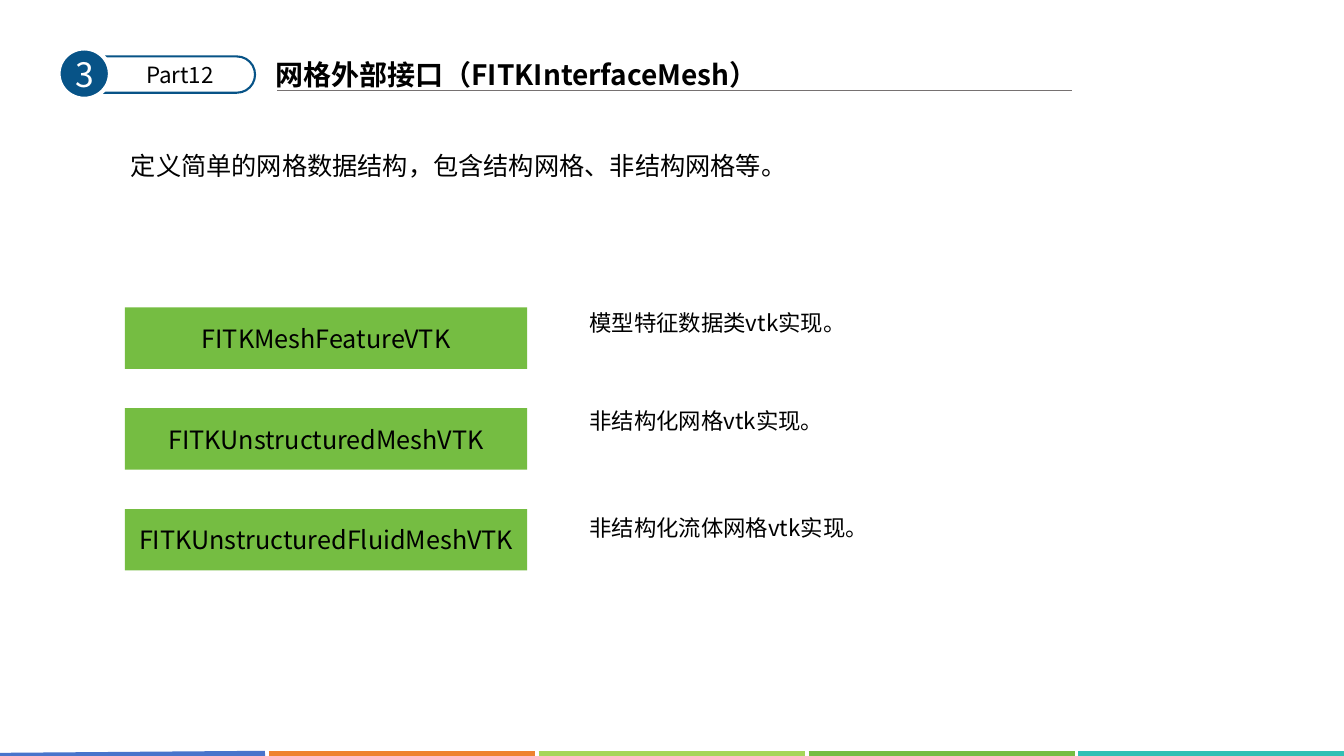
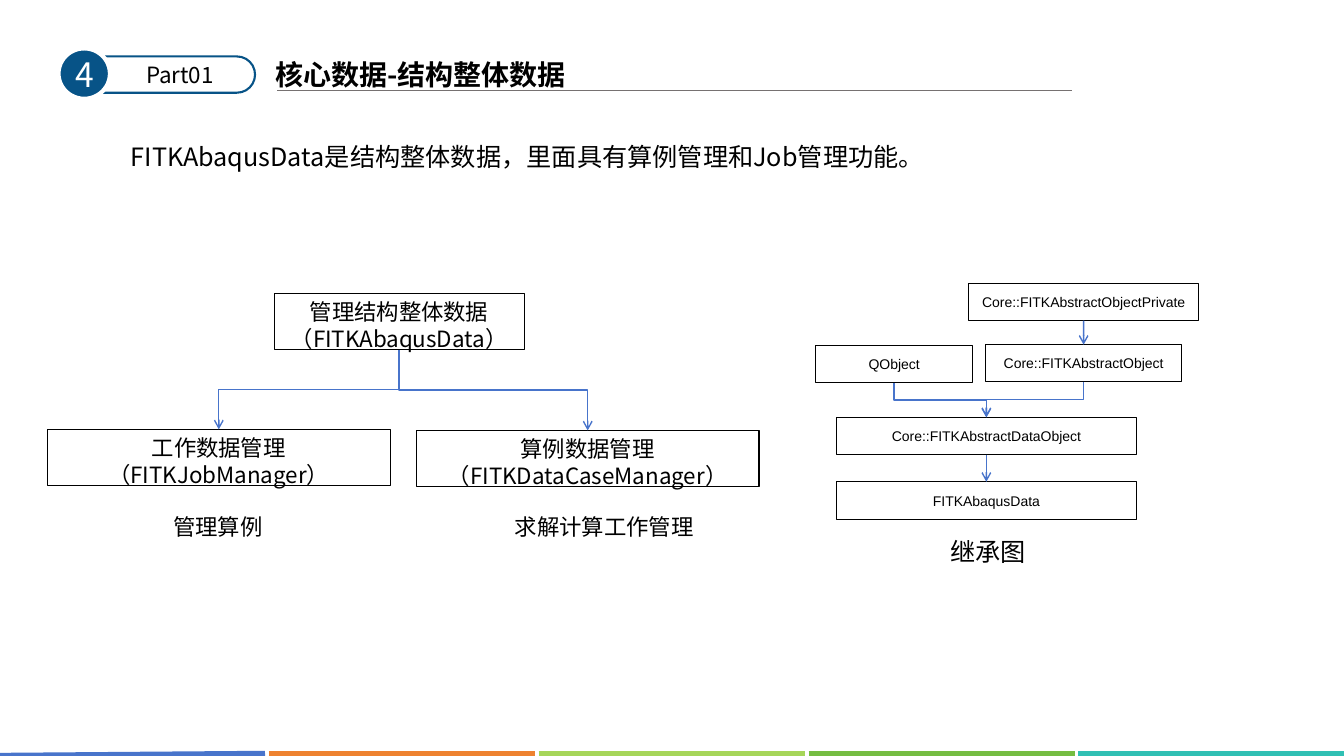
from lxml.etree import SubElement
from pptx import Presentation
from pptx.dml.color import RGBColor
from pptx.enum.shapes import MSO_CONNECTOR as Route, MSO_SHAPE as Outline
from pptx.enum.text import MSO_ANCHOR as Anchor, PP_ALIGN as Align
from pptx.oxml.ns import qn
from pptx.util import Inches, Pt

COLOURS = {
    "black": "000000", "white": "FFFFFF", "navy": "075387", "grey": "767171",
    "blue": "4874CB", "orange": "EE822F", "lime": "A6D659", "green": "75BD42",
    "teal": "30C0B4",
}
CJK = "Noto Sans CJK SC"

deck = Presentation()
deck.slide_width, deck.slide_height = Inches(13.33), Inches(7.5)
column, row = deck.slide_width / 100, deck.slide_height / 100


def put(slide, area, text="", size=16, outline=None, fill=None, border=None, weight=0.75,
        colour="black", face=CJK, bold=None, align=Align.CENTER, anchor=Anchor.TOP, spacing=None):
    left, top, width, height = area
    box = [int(left * column), int(top * row), int(width * column), int(height * row)]
    if outline is None:
        part = slide.shapes.add_textbox(*box)
    else:
        part = slide.shapes.add_shape(outline, *box)
        part.shadow.inherit = False
        if fill:
            part.fill.solid()
            part.fill.fore_color.rgb = RGBColor.from_string(COLOURS[fill])
        else:
            part.fill.background()
        if border:
            part.line.color.rgb = RGBColor.from_string(COLOURS[border])
            part.line.width = Pt(weight)
        else:
            part.line.fill.background()
    frame = part.text_frame
    frame.word_wrap = True
    frame.vertical_anchor = anchor
    frame.text = text
    for paragraph in frame.paragraphs:
        paragraph.alignment = align
        paragraph.line_spacing = spacing
        font = paragraph.font
        font.size, font.bold, font.name = Pt(size), bold, face
        font.color.rgb = RGBColor.from_string(COLOURS[colour])
        SubElement(font._rPr, qn("a:ea")).set("typeface", CJK)
    return part


def draw_line(slide, start, end, colour, weight, route=Route.STRAIGHT):
    line = slide.shapes.add_connector(
        route, int(start[0] * column), int(start[1] * row), int(end[0] * column), int(end[1] * row))
    line.line.color.rgb = RGBColor.from_string(COLOURS[colour])
    line.line.width = Pt(weight)
    SubElement(line._element.spPr, qn("a:effectLst"))
    return line


headings = [
    ("3", "Part12", "网格外部接口（FITKInterfaceMesh）"),
    ("4", "Part01", "核心数据-结构整体数据"),
]
slides = []
for chapter, section, title in headings:
    slide = deck.slides.add_slide(deck.slide_layouts[6])
    slides.append(slide)
    for index, colour in enumerate(["blue", "orange", "lime", "green", "teal"]):
        left = -0.08 + 20.08 * index
        draw_line(slide, (left, 99.73 if index else 100), (left + 19.8, 99.73), colour, 4.5)
    draw_line(slide, (20.63, 12), (79.8, 12), "grey", 1)
    put(slide, (19.73, 6.93, 66.45, 5.87), title, 20, bold=True, align=Align.LEFT)
    pill = put(slide, (4.88, 7.47, 14.1, 4.8), outline=Outline.ROUNDED_RECTANGLE,
               fill="white", border="navy", weight=1.5)
    pill.adjustments[0] = 0.5
    put(slide, (4.35, 6.4, 3.83, 6.67), chapter, 24, Outline.OVAL, "navy", "white", 3,
        "white", anchor=Anchor.MIDDLE)
    put(slide, (6.08, 7.47, 14.63, 4.93), section)

mesh, core = slides

put(mesh, (9, 19.2, 70, 5.33), "定义简单的网格数据结构，包含结构网格、非结构网格等。", 18, align=Align.LEFT)
mesh_classes = [
    ("FITKMeshFeatureVTK", "模型特征数据类vtk实现。", 40.27),
    ("FITKUnstructuredMeshVTK", "非结构化网格vtk实现。", 53.2),
    ("FITKUnstructuredFluidMeshVTK", "非结构化流体网格vtk实现。", 67.33),
]
for index, (class_name, purpose, purpose_top) in enumerate(mesh_classes):
    put(mesh, (9.3, 40.67 + 13.33 * index, 29.93, 8.13), class_name, 18,
        Outline.RECTANGLE, "green", anchor=Anchor.MIDDLE)
    put(mesh, (43.13, purpose_top, 44, 4.93), purpose, align=Align.LEFT)

put(core, (9, 16, 80, 7.33), "FITKAbaqusData是结构整体数据，里面具有算例管理和Job管理功能。", 18,
    align=Align.LEFT, spacing=1.5)

boxes = {}
managers = [
    ("whole", 20.4, 38.8, 18.6, "管理结构整体数据\n（FITKAbaqusData）"),
    ("jobs", 3.53, 56.8, 25.5, "工作数据管理\n（FITKJobManager）"),
    ("cases", 30.98, 56.93, 25.5, "算例数据管理\n（FITKDataCaseManager）"),
]
for key, left, top, width, text in managers:
    boxes[key] = put(core, (left, top, width, 7.47), text, 16, Outline.RECTANGLE, border="black")

ancestry = [
    ("data", 62.25, 55.2, 22.28, "Core::FITKAbstractDataObject"),
    ("object", 73.35, 45.6, 14.55, "Core::FITKAbstractObject"),
    ("qobject", 60.68, 45.73, 11.7, "QObject"),
    ("private", 72.08, 37.47, 17.1, "Core::FITKAbstractObjectPrivate"),
    ("abaqus", 62.25, 63.73, 22.28, "FITKAbaqusData"),
]
for key, left, top, width, text in ancestry:
    boxes[key] = put(core, (left, top, width, 4.93), text, 10, Outline.RECTANGLE,
                     border="black", face="Arial", anchor=Anchor.MIDDLE)

links = [
    ("whole", "cases", Route.ELBOW), ("whole", "jobs", Route.ELBOW),
    ("object", "data", Route.ELBOW), ("qobject", "data", Route.ELBOW),
    ("private", "object", Route.STRAIGHT), ("data", "abaqus", Route.STRAIGHT),
]
for source, target, route in links:
    arrow = draw_line(core, (0, 0), (0, 0), "blue", 1, route)
    arrow.begin_connect(boxes[source], 2)
    arrow.end_connect(boxes[target], 0)
    SubElement(arrow.line._get_or_add_ln(), qn("a:tailEnd")).set("type", "arrow")
    if route == Route.ELBOW:
        across, down = arrow.end_x - arrow.begin_x, arrow.end_y - arrow.begin_y
        middle_x, middle_y = arrow.begin_x + across // 2, arrow.begin_y + down // 2
        arrow.left, arrow.top = middle_x - down // 2, middle_y - abs(across) // 2
        arrow.width, arrow.height = down, abs(across)
        frame = arrow._element.spPr.find(qn("a:xfrm"))
        frame.set("rot", "5400000")
        frame.set("flipH", "0")
        frame.set("flipV", "1" if across > 0 else "0")

captions = [
    ((7.58, 67.2, 17.25, 4.93), "管理算例", 16),
    ((35.7, 67.2, 18.53, 4.93), "求解计算工作管理", 16),
    ((62.55, 70.27, 21.9, 5.33), "继承图", 18),
]
for area, text, size in captions:
    put(core, area, text, size, face="Arial")

deck.save("out.pptx")
